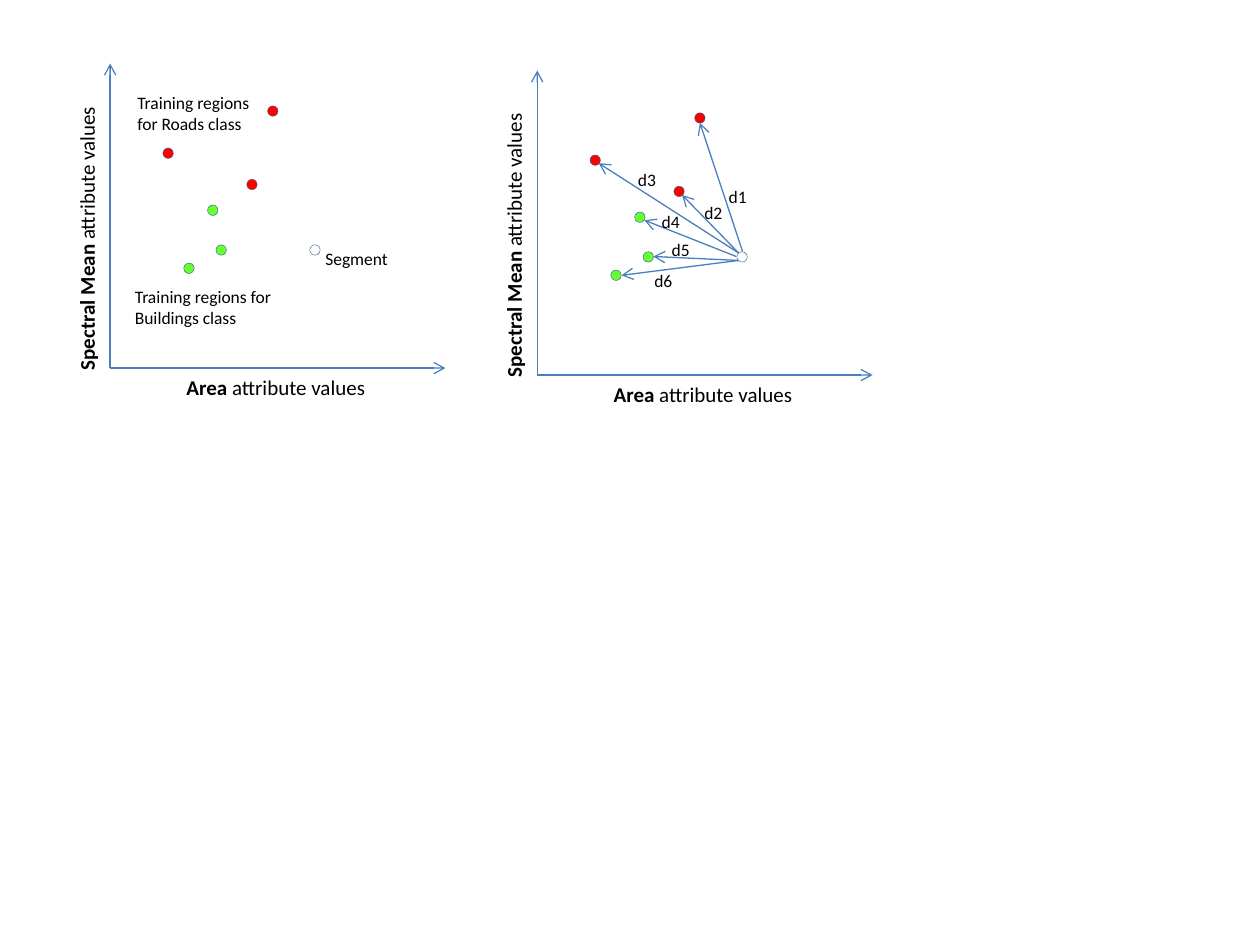
from dataclasses import dataclass

from lxml.etree import SubElement
from pptx import Presentation
from pptx.dml.color import RGBColor as Color
from pptx.enum.shapes import MSO_CONNECTOR as Connector
from pptx.enum.shapes import MSO_SHAPE as Shape
from pptx.enum.text import MSO_AUTO_SIZE as AutoSize
from pptx.oxml.ns import qn
from pptx.util import Cm, Pt


@dataclass(frozen=True)
class Theme:
    font: str = "Calibri"
    text: Color = Color(0x00, 0x00, 0x00)
    line: Color = Color(0x4B, 0x7E, 0xBC)
    outline: Color = Color(0x3A, 0x5F, 0x8C)
    road: Color = Color(0xFF, 0x00, 0x00)
    building: Color = Color(0x66, 0xFF, 0x33)
    segment: Color = Color(0xFF, 0xFF, 0xFF)
    title_size: Pt = Pt(12)
    label_size: Pt = Pt(10)
    line_width: Pt = Pt(0.75)
    outline_width: Pt = Pt(0.25)


THEME = Theme()
DOT = 0.21

# Plot origins in cm on the slide
TRAINING_ORIGIN = (2.22, 7.42)
DISTANCE_ORIGIN = (10.83, 7.56)

# All positions below are cm right of and above a plot's origin
X_LENGTH, Y_LENGTH = 6.76, 6.14
ROADS = [(1.17, 4.33), (3.28, 5.18), (2.86, 3.7)]
BUILDINGS = [(2.24, 2.38), (2.07, 3.18), (1.59, 2.01)]
SEGMENT = (4.13, 2.38)

# Label, arrow start, arrow end, label corner
DISTANCES = [
    ("d1", (4.14, 2.49), (3.28, 5.08), (3.61, 3.94)),
    ("d2", (4.06, 2.46), (2.92, 3.63), (3.12, 3.61)),
    ("d3", (4.06, 2.46), (1.24, 4.27), (1.78, 4.27)),
    ("d4", (4.01, 2.39), (2.16, 3.12), (2.26, 3.43)),
    ("d5", (4.06, 2.31), (2.34, 2.39), (2.46, 2.87)),
    ("d6", (4.06, 2.31), (1.7, 2.01), (2.11, 2.24)),
]


def place(origin, point):
    return Cm(origin[0] + point[0]), Cm(origin[1] - point[1])


def add_text(slide, origin, corner, size, paragraphs, font_size, wrap=True, rotation=0):
    """Each paragraph is a list of (text, bold) runs."""
    box = slide.shapes.add_textbox(*place(origin, corner), Cm(size[0]), Cm(size[1]))
    box.rotation = rotation
    frame = box.text_frame
    frame.word_wrap = wrap
    frame.auto_size = AutoSize.SHAPE_TO_FIT_TEXT
    for index, runs in enumerate(paragraphs):
        paragraph = frame.add_paragraph() if index else frame.paragraphs[0]
        for text, bold in runs:
            run = paragraph.add_run()
            run.text = text
            run.font.name = THEME.font
            run.font.size = font_size
            run.font.bold = bold
            run.font.color.rgb = THEME.text


def add_label(slide, origin, corner, size, lines, wrap=True):
    paragraphs = [[(line, False)] for line in lines]
    add_text(slide, origin, corner, size, paragraphs, THEME.label_size, wrap)


def add_axis_title(slide, origin, corner, width, name, rotation=0):
    runs = [(name, True), (" attribute values", False)]
    add_text(slide, origin, corner, (width, 0.77), [runs], THEME.title_size, False, rotation)


def add_arrow(slide, origin, start, end):
    arrow = slide.shapes.add_connector(
        Connector.STRAIGHT, *place(origin, start), *place(origin, end))
    arrow.line.color.rgb = THEME.line
    arrow.line.width = THEME.line_width
    SubElement(arrow.line._get_or_add_ln(), qn("a:tailEnd"), type="arrow")
    SubElement(arrow._element.spPr, qn("a:effectLst"))


def add_dot(slide, origin, center, color):
    corner = (center[0] - DOT / 2, center[1] + DOT / 2)
    dot = slide.shapes.add_shape(Shape.OVAL, *place(origin, corner), Cm(DOT), Cm(DOT))
    dot.shadow.inherit = False
    dot.fill.solid()
    dot.fill.fore_color.rgb = color
    dot.line.color.rgb = THEME.outline
    dot.line.width = THEME.outline_width


def add_plot(slide, origin):
    # Axes and their titles
    add_axis_title(slide, origin, (-3.38, 3), 5.82, "Spectral Mean", 270)
    add_axis_title(slide, origin, (1.29, 0), 4.14, "Area")
    for end in [(X_LENGTH, 0), (0, Y_LENGTH)]:
        add_arrow(slide, origin, (0, 0), end)
    # Training regions and the segment
    for centers, color in [(ROADS, THEME.road), (BUILDINGS, THEME.building),
                           ([SEGMENT], THEME.segment)]:
        for center in centers:
            add_dot(slide, origin, center, color)


def main():
    presentation = Presentation()
    presentation.slide_width, presentation.slide_height = Cm(25.4), Cm(19.05)
    slide = presentation.slides.add_slide(presentation.slide_layouts[6])

    # Left: training regions by class
    add_plot(slide, TRAINING_ORIGIN)
    add_label(slide, TRAINING_ORIGIN, (0.3, 5.69), (3.48, 1.12),
              ["Training regions", "for Roads class"])
    add_label(slide, TRAINING_ORIGIN, (0.25, 1.78), (3.48, 1.12),
              ["Training regions for Buildings class"])
    add_label(slide, TRAINING_ORIGIN, (4.09, 2.54), (3.48, 0.69), ["Segment"])

    # Right: distances from the segment to each region
    add_plot(slide, DISTANCE_ORIGIN)
    for name, start, end, corner in DISTANCES:
        add_arrow(slide, DISTANCE_ORIGIN, start, end)
        add_label(slide, DISTANCE_ORIGIN, corner, (0.89, 0.69), [name], wrap=False)

    presentation.save("out.pptx")


if __name__ == "__main__":
    main()
